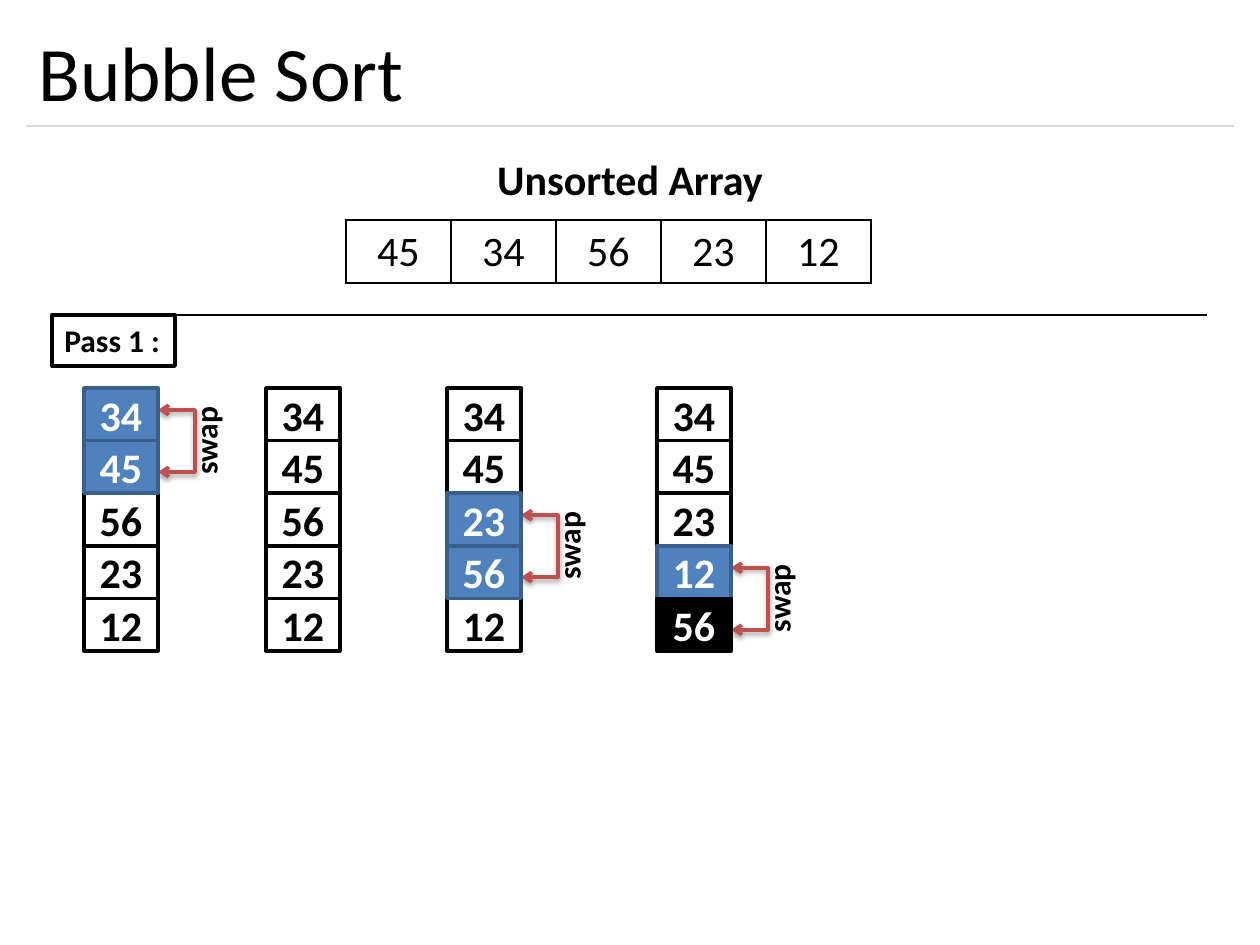
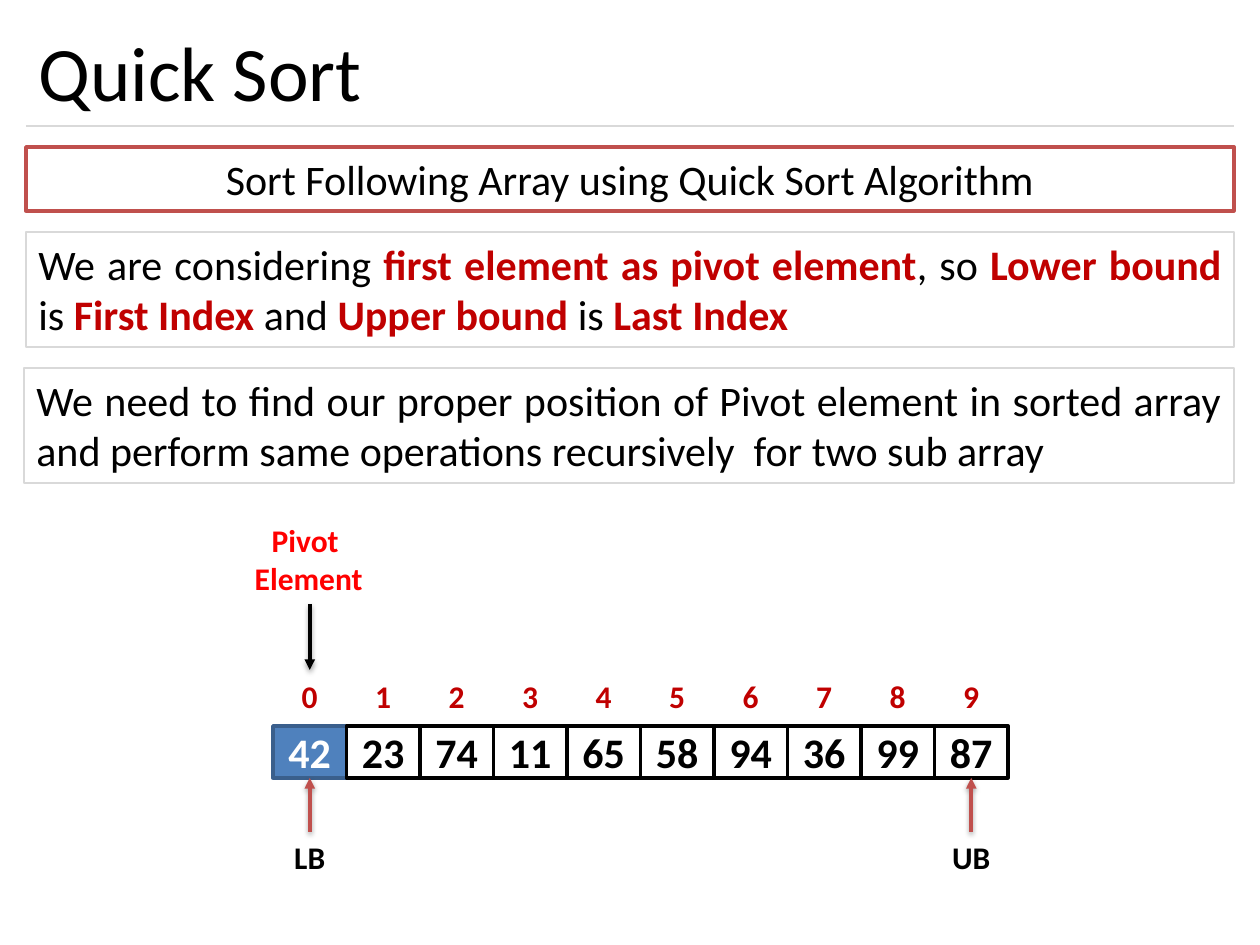
from pptx import Presentation
from pptx.dml.color import RGBColor
from pptx.enum.shapes import MSO_CONNECTOR, MSO_SHAPE
from pptx.enum.text import MSO_ANCHOR as Anchor, MSO_AUTO_SIZE as AutoSize, PP_ALIGN as Align
from pptx.oxml.xmlchemy import OxmlElement
from pptx.util import Pt

PX = 914400 / 126
FONT = "Calibri"
COLORS = {
    "black": "000000", "white": "FFFFFF", "rule": "D9D9D9",
    "blue": "4F81BD", "blue_edge": "3A5F8C", "arrow": "C0504D",
    "key": "C00000", "pivot": "FF0000",
}
# Cell styles: fill, line, text. Columns draw their cells in this order.
CELL_STYLES = {
    "plain": ("white", "black", "black"),
    "active": ("blue", "blue_edge", "white"),
    "sorted": ("black", "black", "white"),
}
TITLE_BOX = (26, 15, 1208, 111)


def px(*lengths):
    return [round(length * PX) for length in lengths]


def rgb(name):
    return RGBColor.from_string(COLORS[name])


def add_xml(parent, tag, **attributes):
    element = OxmlElement(tag)
    for name, value in attributes.items():
        element.set(name, str(value))
    parent.append(element)
    return element


def set_line(shape, color, width):
    if color:
        shape.line.color.rgb = rgb(color)
        shape.line.width = Pt(width)
    else:
        shape.line.fill.background()


def add_shadow(effects):
    shadow = add_xml(effects, "a:outerShdw", blurRad=Pt(3.1), dist=Pt(1.6),
                     dir=90 * 60000, rotWithShape=0)
    color = add_xml(shadow, "a:srgbClr", val=COLORS["black"])
    add_xml(color, "a:alpha", val=38000)


def write(frame, paragraphs, size=24, color="black", bold=False,
          align=Align.CENTER, anchor=Anchor.TOP, wrap=True):
    """Fill a text frame; each paragraph is a list of (text, highlighted) runs or a string."""
    frame.word_wrap = wrap
    frame.vertical_anchor = anchor
    for number, content in enumerate(paragraphs):
        paragraph = frame.add_paragraph() if number else frame.paragraphs[0]
        paragraph.alignment = align
        runs = [(content, False)] if isinstance(content, str) else content
        for text, highlighted in runs:
            run = paragraph.add_run()
            run.text = text
            font_format = {"name": FONT, "size": Pt(size), "bold": bold or highlighted}
            for name, value in font_format.items():
                setattr(run.font, name, value)
            run.font.color.rgb = rgb("key" if highlighted else color)


def add_text(slide, box, *paragraphs, **text_format):
    shape = slide.shapes.add_textbox(*px(*box))
    write(shape.text_frame, paragraphs, **text_format)
    return shape


def add_label(slide, box, *paragraphs, size=18, color="black"):
    """Add bold centred text that stays on its lines and sizes its box."""
    shape = add_text(slide, box, *paragraphs, size=size, color=color, bold=True, wrap=False)
    shape.text_frame.auto_size = AutoSize.SHAPE_TO_FIT_TEXT
    return shape


def add_box(slide, box, *paragraphs, fill=None, line=None, width=2.0, **text_format):
    shape = slide.shapes.add_shape(MSO_SHAPE.RECTANGLE, *px(*box))
    shape.shadow.inherit = False
    if fill:
        shape.fill.solid()
        shape.fill.fore_color.rgb = rgb(fill)
    else:
        shape.fill.background()
    set_line(shape, line, width)
    write(shape.text_frame, paragraphs, **text_format)
    return shape


def add_line(slide, start, end, color="black", width=0.75, arrow=False):
    line = slide.shapes.add_connector(MSO_CONNECTOR.STRAIGHT, *px(*start, *end))
    set_line(line, color, width)
    effects = add_xml(line._element.spPr, "a:effectLst")
    if arrow:
        add_xml(line.line._get_or_add_ln(), "a:tailEnd", type="triangle")
        add_shadow(effects)


def add_titled_slide(presentation, title):
    slide = presentation.slides.add_slide(presentation.slide_layouts[6])
    left, top, width, height = TITLE_BOX
    add_line(slide, (left, top + height), (left + width, top + height), "rule")
    add_text(slide, TITLE_BOX, title, size=44, align=Align.LEFT, anchor=Anchor.MIDDLE)
    return slide


def add_cell(slide, box, value, style):
    fill, line, color = CELL_STYLES[style]
    add_box(slide, box, str(value), fill=fill, line=line, color=color,
            bold=True, anchor=Anchor.MIDDLE)


def unsorted_table(slide, box, values):
    frame = slide.shapes.add_table(1, len(values), *px(*box))
    table = frame.table
    table.first_row = table.horz_banding = False
    for cell, value in zip(table.rows[0].cells, values):
        properties = cell._tc.get_or_add_tcPr()
        for side in "LRTB":
            border = add_xml(properties, f"a:ln{side}", w=Pt(1))
            fill = add_xml(border, "a:solidFill")
            add_xml(fill, "a:srgbClr", val=COLORS["black"])
        cell.fill.background()
        write(cell.text_frame, [str(value)])


def swap_bracket(slide, left, top):
    """Join the two cells that start at top with a double arrow on their right."""
    points = [(left, top + 22), (left + 37, top + 22), (left + 37, top + 84), (left, top + 84)]
    start, *others = [px(*point) for point in points]
    builder = slide.shapes.build_freeform(*start)
    builder.add_line_segments(others, close=False)
    bracket = builder.convert_to_shape()
    bracket.shadow.inherit = False
    bracket.fill.background()
    set_line(bracket, "arrow", 2)
    for end in ("a:headEnd", "a:tailEnd"):
        add_xml(bracket.line._get_or_add_ln(), end, type="arrow")
    add_shadow(bracket._element.spPr.find(
        "{http://schemas.openxmlformats.org/drawingml/2006/main}effectLst"))
    label = add_label(slide, (left + 22, top + 12, 63, 81), "swap")
    label.text_frame._txBody.bodyPr.set("vert", "vert270")


def pass_column(slide, box, values, swapped=None, finished=None):
    """Stack the array after one step; swapped is the upper index of the exchanged pair."""
    left, top, width, height = box
    step = height / len(values)
    styles = ["plain"] * len(values)
    if swapped is not None:
        styles[swapped:swapped + 2] = ["active"] * 2
        swap_bracket(slide, left + width, top + swapped * step)
    if finished is not None:
        styles[finished] = "sorted"
    drawing_order = list(CELL_STYLES)
    for index in sorted(range(len(values)), key=lambda i: drawing_order.index(styles[i])):
        add_cell(slide, (left, top + index * step, width, step), values[index], styles[index])


def pivot_array(slide, box, values):
    """Draw the indexed array with its pivot and both bounds marked."""
    left, top, width, height = box
    step = width / len(values)
    for index, value in enumerate(values):
        x = left + index * step
        add_box(slide, (x, top - 56, step, height), str(index), fill="white", size=18,
                color="key", bold=True, anchor=Anchor.MIDDLE)
        add_cell(slide, (x, top, step, height), value, "plain" if index else "active")
    first, last = left + step / 2, left + width - step / 2
    for name, x in (("LB", first), ("UB", last)):
        add_label(slide, (x - 45, top + 106, 90, 50), name)
        add_line(slide, (x, top + 106), (x, top + height), "arrow", 2, arrow=True)
    add_label(slide, (first - 68, top - 211, 134, 90), "Pivot ", "Element", color="pivot")
    add_line(slide, (first, top - 122), (first, top - 56), width=2, arrow=True)


def bubble_sort_slide(presentation):
    slide = add_titled_slide(presentation, "Bubble Sort")
    add_label(slide, (483, 147, 294, 63), "Unsorted Array", size=24)
    unsorted_table(slide, (346, 220, 525, 63), [45, 34, 56, 23, 12])
    add_line(slide, (52, 315), (1207, 315))
    add_box(slide, (52, 315, 123, 51), "Pass 1 :", line="black", width=2.25, size=18,
            bold=True, align=Align.LEFT, wrap=False)
    steps = [
        (84, [34, 45, 56, 23, 12], 0, None),
        (266, [34, 45, 56, 23, 12], None, None),
        (447, [34, 45, 23, 56, 12], 2, None),
        (657, [34, 45, 23, 12, 56], 3, 4),
    ]
    for left, values, swapped, finished in steps:
        pass_column(slide, (left, 388, 74, 263), values, swapped, finished)


def quick_sort_slide(presentation):
    slide = add_titled_slide(presentation, "Quick Sort")
    pivot_array(slide, (273, 726, 735, 52), [42, 23, 74, 11, 65, 58, 94, 36, 99, 87])
    add_box(slide, (26, 147, 1208, 64), "Sort Following Array using Quick Sort Algorithm",
            fill="white", line="arrow")
    bounds = [
        ("We are considering ", False), ("first element as pivot element", True),
        (", so ", False), ("Lower bound ", True), ("is ", False), ("First Index ", True),
        ("and ", False), ("Upper bound ", True), ("is ", False), ("Last Index", True),
    ]
    recursion = ("We need to find our proper position of Pivot element in sorted array "
                 "and perform same operations recursively  for two sub array")
    for box, content in (((26, 232, 1208, 115), bounds), ((24, 368, 1210, 115), recursion)):
        add_box(slide, box, content, line="rule", width=0.75, align=Align.JUSTIFY)


def main():
    presentation = Presentation()
    presentation.slide_width, presentation.slide_height = px(1260, 945)
    bubble_sort_slide(presentation)
    quick_sort_slide(presentation)
    presentation.save("out.pptx")


if __name__ == "__main__":
    main()
